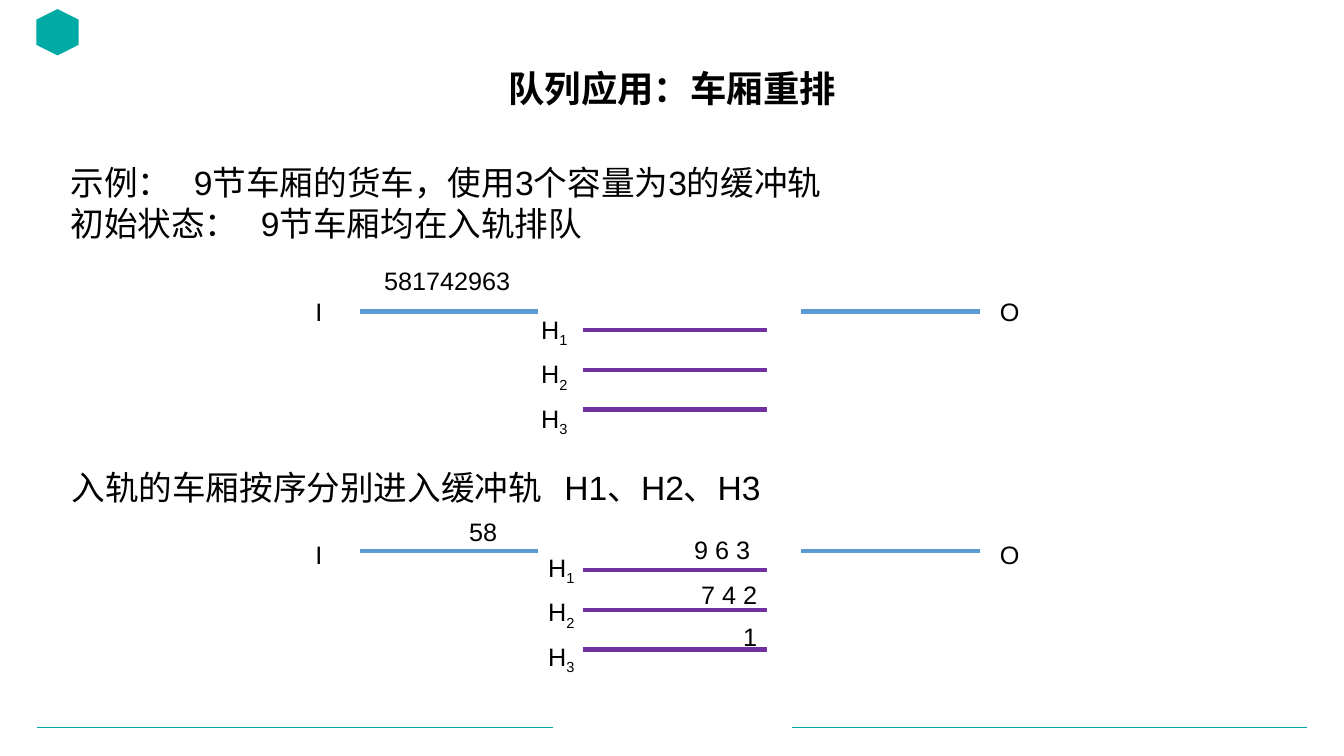
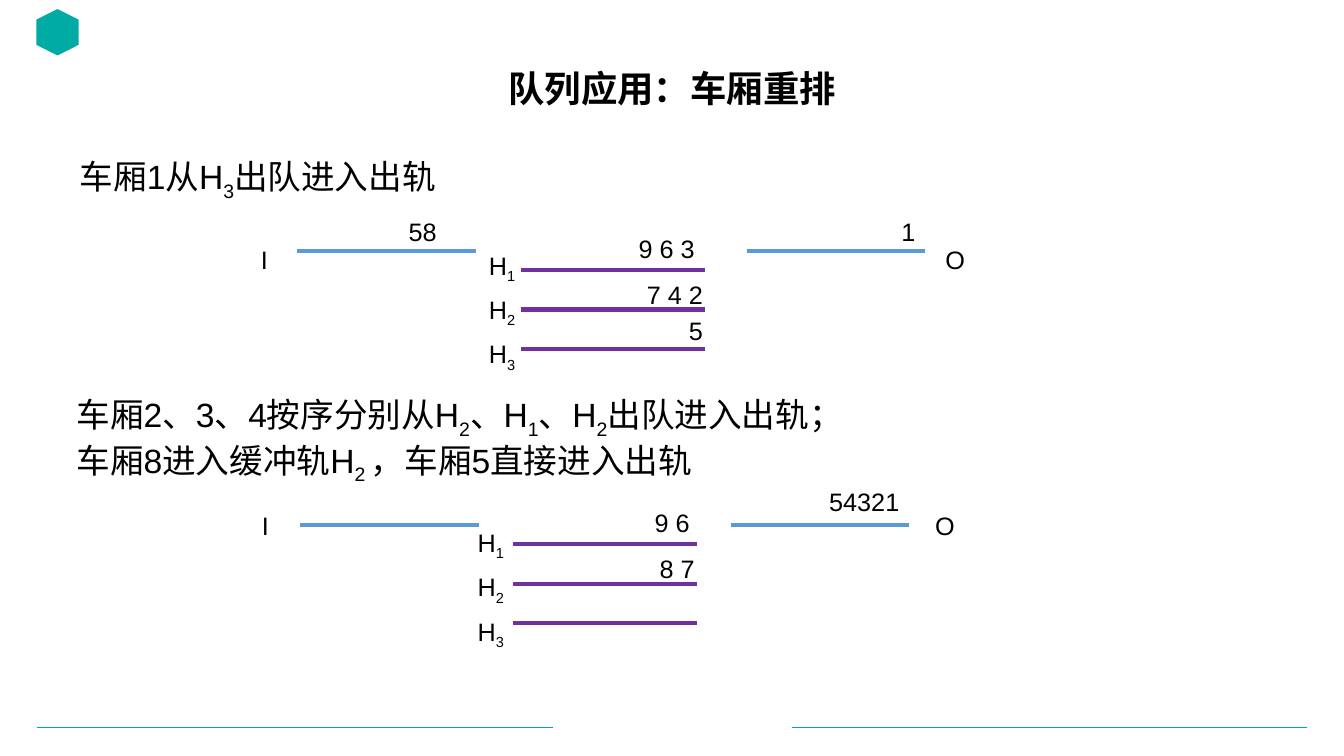
from lxml import etree
from pptx import Presentation
from pptx import util as u
from pptx.dml.color import RGBColor
from pptx.enum import shapes, text
from pptx.oxml.ns import qn

TEAL, BLUE, PURPLE, BLACK = "00ABA5", "5B9BD5", "7030A0", "000000"
LATIN, CHINESE = "Arial", "Noto Sans CJK SC"
TITLE = "队列应用：车厢重排"
TRACK_LENGTH, BUFFER_LENGTH = 13.28, 13.7
BUFFER_DROP, BUFFER_STEP, LABEL_STEP = 2.5, 5.24, 5.87
LABEL_HEIGHT, CARGO_WIDTH = 5.33, 11.1

presentation = Presentation()
presentation.slide_width = u.Inches(13.33)
presentation.slide_height = u.Inches(7.5)
column = presentation.slide_width / 100
row = presentation.slide_height / 100


def add_line(slide, left, top, length, color, width):
    y = round(top * row)
    line = slide.shapes.add_connector(
        shapes.MSO_CONNECTOR.STRAIGHT,
        round(left * column), y, round((left + length) * column), y)
    line.line.color.rgb = RGBColor.from_string(color)
    line.line.width = u.Pt(width)
    etree.SubElement(line._element.spPr, qn("a:effectLst"))


def add_text(slide, left, top, width, height, content, size=18, align="LEFT",
             wrap=True, tabs=(), title=False):
    box = slide.shapes.add_textbox(
        round(left * column), round(top * row),
        round(width * column), round(height * row))
    frame = box.text_frame
    frame.word_wrap = wrap
    if title:
        frame.vertical_anchor = text.MSO_ANCHOR.MIDDLE
    else:
        frame.auto_size = text.MSO_AUTO_SIZE.SHAPE_TO_FIT_TEXT
    frame.text = content
    for index, paragraph in enumerate(frame.paragraphs):
        paragraph.alignment = getattr(text.PP_ALIGN, align)
        if title:
            paragraph.line_spacing = 0.9
        if tabs:
            tab_list = etree.SubElement(paragraph._p.get_or_add_pPr(), qn("a:tabLst"))
            etree.SubElement(tab_list, qn("a:tab"),
                             pos=str(round(tabs[index] * column)), algn="l")
        pieces = paragraph.text.split("|")
        paragraph.runs[0].text = pieces[0]
        for piece in pieces[1:]:
            paragraph.add_run().text = piece
        for position, run in enumerate(paragraph.runs):
            run.font.size = u.Pt(size)
            run.font.bold = title
            run.font.color.rgb = RGBColor.from_string(BLACK)
            run.font.name = CHINESE if title else LATIN
            properties = run._r.get_or_add_rPr()
            etree.SubElement(properties, qn("a:ea"), typeface=CHINESE)
            if position % 2:
                properties.set("baseline", "-25000")


slides = [
    {
        "captions": [
            (4.5, 20.8, 92.33, "示例：\t9节车厢的货车，使用3个容量为3的缓冲轨\n"
                               "初始状态：\t9节车厢均在入轨排队", (9.19, 14.18)),
            (4.58, 61.07, 56.03, "入轨的车厢按序分别进入缓冲轨\tH1、H2、H3", (36.68,)),
        ],
        "diagrams": [
            {"track": 41.2, "tracks": (26.78, 59.63), "buffers": 43.35,
             "ends": (22.73, 73.65), "ends_top": 38.53, "names": (39.53, 40.93),
             "cargo": [("581742963", 38.7, 34.4)]},
            {"track": 72.93, "tracks": (26.78, 59.63), "buffers": 43.35,
             "ends": (22.73, 73.65), "ends_top": 70.67, "names": (40.05, 72.4),
             "cargo": [("58", 37.73, 67.6), ("9 6 3", 56.55, 70),
                       ("7 4 2", 57.08, 76), ("1", 57.08, 81.47)]},
        ],
    },
    {
        "captions": [
            (5.18, 20, 91.13, "车厢1从H|3|出队进入出轨", ()),
            (4.95, 51.47, 89.85, "车厢2、3、4按序分别从H|2|、H|1|、H|2|出队进入出轨；\n"
                                 "车厢8进入缓冲轨H|2 |，车厢5直接进入出轨", ()),
        ],
        "diagrams": [
            {"track": 33.2, "tracks": (22.13, 55.58), "buffers": 38.78,
             "ends": (18.68, 69.6), "ends_top": 31.6, "names": (35.63, 32.4),
             "cargo": [("58", 33.23, 28), ("9 6 3", 52.43, 30.27),
                       ("7 4 2", 53.03, 36.27), ("5", 53.03, 41.07),
                       ("1", 68.85, 28)]},
            {"track": 69.47, "tracks": (22.35, 54.38), "buffers": 38.18,
             "ends": (18.75, 68.85), "ends_top": 66.8, "names": (34.8, 69.07),
             "cargo": [("9 6", 52.05, 66.4), ("8 7", 52.43, 72.53),
                       ("54321", 67.65, 63.73)]},
        ],
    },
]

for content in slides:
    slide = presentation.slides.add_slide(presentation.slide_layouts[6])
    for left in (2.78, 58.9):
        add_line(slide, left, 96.27, 38.35, TEAL, 0.5)
    emblem = slide.shapes.add_shape(
        shapes.MSO_SHAPE.HEXAGON, round(2.55 * column), round(1.47 * row),
        round(3.45 * column), round(5.6 * row))
    emblem.rotation = 90
    emblem.shadow.inherit = False
    emblem.fill.solid()
    emblem.fill.fore_color.rgb = RGBColor.from_string(TEAL)
    emblem.line.fill.background()

    for diagram in content["diagrams"]:
        for left in diagram["tracks"]:
            add_line(slide, left, diagram["track"], TRACK_LENGTH, BLUE, 3)
        name_left, name_top = diagram["names"]
        for index in range(3):
            buffer_top = diagram["track"] + BUFFER_DROP + index * BUFFER_STEP
            add_line(slide, diagram["buffers"], buffer_top, BUFFER_LENGTH, PURPLE, 3)
            add_text(slide, name_left, name_top + index * LABEL_STEP, 3.53,
                     LABEL_HEIGHT, f"H|{index + 1}", wrap=False)
        for name, left, width in zip("IO", diagram["ends"], (2, 2.93)):
            add_text(slide, left, diagram["ends_top"], width, LABEL_HEIGHT, name,
                     wrap=False)
        for cars, right, top in diagram["cargo"]:
            add_text(slide, right - CARGO_WIDTH, top, CARGO_WIDTH, LABEL_HEIGHT,
                     cars, align="RIGHT")

    for left, top, width, caption, tabs in content["captions"]:
        height = 1.47 + 5.33 * len(caption.split("\n"))
        add_text(slide, left, top, width, height, caption, size=24, tabs=tabs)
    add_text(slide, 6.9, 8.27, 86.25, 7.6, TITLE, size=26, align="CENTER", title=True)

presentation.save("out.pptx")
